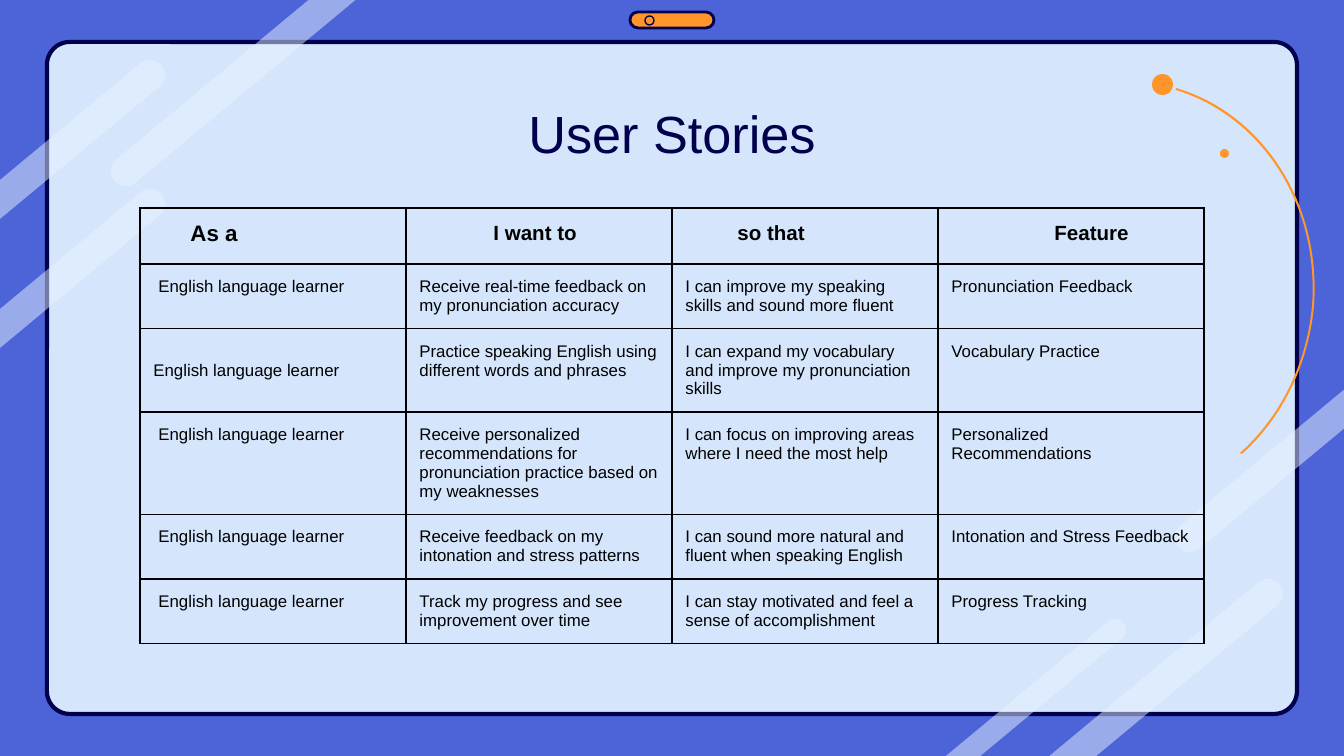
from math import cos, pi, radians, sin

from lxml.etree import SubElement
from pptx import Presentation
from pptx.dml.color import RGBColor
from pptx.enum.shapes import MSO_SHAPE
from pptx.enum.text import MSO_ANCHOR, MSO_AUTO_SIZE, PP_ALIGN
from pptx.oxml.ns import qn
from pptx.util import Inches, Pt

WIDTH, HEIGHT = 1344, 756
SCALE = 914400 * 10 / WIDTH
STRIPE_ANGLE = radians(39.7)

STRIPES = [
    (1268, 594, 15, -1),
    (1115, 630, 11, -1),
    (126, 171, 15, 1),
    (150, 75, 15, -1),
    (150, 204, 15, -1),
    (1190, 537, 15, 1),
]

LEARNER = "English language learner"
HEADERS = [("As a", 37, 12), ("I want to", 74, 11), ("so that", 52, 11), ("Feature", 103, 11)]
STORIES = [
    ("Receive real-time feedback on my pronunciation accuracy",
     "I can improve my speaking skills and sound more fluent",
     "Pronunciation Feedback"),
    ("Practice speaking English using different words and phrases",
     "I can expand my vocabulary and improve my pronunciation skills",
     "Vocabulary Practice"),
    ("Receive personalized\nrecommendations for pronunciation practice based on my weaknesses",
     "I can focus on improving areas where I need the most help",
     "Personalized Recommendations"),
    ("Receive feedback on my intonation and stress patterns",
     "I can sound more natural and fluent when speaking English",
     "Intonation and Stress Feedback"),
    ("Track my progress and see improvement over time",
     "I can stay motivated and feel a sense of accomplishment",
     "Progress Tracking"),
]


def px(value):
    return round(value * SCALE)


def color(value):
    return RGBColor.from_string(value)


def write(frame, text, size=9, bold=False, ink="000000", align=PP_ALIGN.LEFT, spacing=1.0):
    frame.word_wrap = True
    for index, line in enumerate(text.split("\n")):
        para = frame.add_paragraph() if index else frame.paragraphs[0]
        para.alignment = align
        para.line_spacing = spacing
        span = para.add_run()
        span.text = line
        span.font.name = "Arial"
        span.font.size = Pt(size)
        span.font.bold = bold
        span.font.color.rgb = color(ink)


def curve(start, first, second, end, steps=32):
    points = []
    for step in range(steps + 1):
        t = step / steps
        weights = ((1 - t) ** 3, 3 * t * (1 - t) ** 2, 3 * t * t * (1 - t), t ** 3)
        points.append(tuple(
            sum(weight * point[axis] for weight, point in zip(weights, (start, first, second, end)))
            for axis in (0, 1)
        ))
    return points


class SlideBuilder:
    back = "4C64D8"
    card = "D5E6FC"
    navy = "00004D"
    orange = "FF952B"
    shine = "E9F3FF"
    inset = Inches(0.1)

    def __init__(self, page):
        self.page = page
        page.background.fill.solid()
        page.background.fill.fore_color.rgb = color(self.back)

    def paint(self, shape, fill=None, line=None, weight=1.0, alpha=None):
        shape.shadow.inherit = False
        if fill:
            shape.fill.solid()
            shape.fill.fore_color.rgb = color(fill)
            if alpha is not None:
                tint = next(shape.element.spPr.iter(qn("a:srgbClr")))
                SubElement(tint, qn("a:alpha"), val=str(alpha * 1000))
        else:
            shape.fill.background()
        if line:
            shape.line.color.rgb = color(line)
            shape.line.width = Pt(weight)
        else:
            shape.line.fill.background()

    def shape(self, kind, left, top, width, height, corner=None, **style):
        box = self.page.shapes.add_shape(kind, px(left), px(top), px(width), px(height))
        if corner is not None:
            box.adjustments[0] = corner
        self.paint(box, **style)

    def outline(self, points, **style):
        corners = [(px(x), px(y)) for x, y in points]
        builder = self.page.shapes.build_freeform(*corners[0], scale=1.0)
        builder.add_line_segments(corners[1:], close=True)
        self.paint(builder.convert_to_shape(), **style)

    def stripe(self, x, y, radius, side):
        run, rise = side * cos(STRIPE_ANGLE), -side * sin(STRIPE_ANGLE)
        facing = STRIPE_ANGLE if side > 0 else STRIPE_ANGLE + pi
        edge_x, edge_y = (WIDTH, 0) if side > 0 else (0, HEIGHT)
        meets_side = (edge_x - x) / run < (edge_y - y) / rise
        cap = []
        for step in range(17):
            turn = facing + pi / 2 + pi * step / 16
            cap.append((x + radius * cos(turn), y - radius * sin(turn)))
        ends = []
        for left, top in (cap[-1], cap[0]):
            length = (edge_x - left) / run if meets_side else (edge_y - top) / rise
            ends.append((left + length * run, top + length * rise))
        self.outline(cap + ends, fill=self.shine, alpha=50)

    def orbit(self):
        inner = curve((1176, 90), (1261, 116), (1320, 204), (1312, 307))
        inner += curve((1312, 307), (1306, 367), (1279, 418), (1240, 453))
        outer = curve((1242, 454), (1281, 419), (1308, 367), (1314, 307))
        outer += curve((1314, 307), (1322, 203), (1262, 113), (1176, 88))
        self.outline(inner + outer, fill=self.orange)
        for left, top, size in ((1152, 74, 21), (1220, 149, 9)):
            self.shape(MSO_SHAPE.OVAL, left, top, size, size, fill=self.orange)

    def title(self, text, left, top, width, height):
        box = self.page.shapes.title
        box.element.getparent().append(box.element)
        box.left, box.top, box.width, box.height = map(px, (left, top, width, height))
        frame = box.text_frame
        frame.auto_size = MSO_AUTO_SIZE.NONE
        frame.vertical_anchor = MSO_ANCHOR.TOP
        frame.margin_left = frame.margin_right = self.inset
        frame.margin_top = frame.margin_bottom = self.inset
        write(frame, text, size=28, ink=self.navy, align=PP_ALIGN.CENTER, spacing=1.15)

    def cell(self, cell, text, indent=0, drop=0, **style):
        cell.margin_left = self.inset + px(indent)
        cell.margin_top = self.inset + px(drop)
        cell.margin_right = cell.margin_bottom = self.inset
        properties = cell._tc.get_or_add_tcPr()
        for side in ("lnL", "lnR", "lnT", "lnB"):
            border = SubElement(properties, qn(f"a:{side}"), w=str(Pt(0.75)))
            SubElement(SubElement(border, qn("a:solidFill")), qn("a:srgbClr"), val="000000")
        cell.fill.background()
        write(cell.text_frame, text, **style)

    def story_table(self, left, top, column, row):
        rows, columns = len(STORIES) + 1, len(HEADERS)
        table = self.page.shapes.add_table(
            rows, columns, px(left), px(top), px(column * columns), px(row * rows)).table
        table.first_row = table.horz_banding = False
        for index, (text, indent, size) in enumerate(HEADERS):
            self.cell(table.cell(0, index), text, indent, size=size, bold=True)
        for number, story in enumerate(STORIES, 1):
            indent, drop = (0, 19) if number == 2 else (5, 0)
            self.cell(table.cell(number, 0), LEARNER, indent, drop)
            for index, text in enumerate(story, 1):
                self.cell(table.cell(number, index), text)


def main():
    deck = Presentation()
    deck.slide_width, deck.slide_height = px(WIDTH), px(HEIGHT)
    slide = SlideBuilder(deck.slides.add_slide(deck.slide_layouts[5]))
    slide.shape(MSO_SHAPE.ROUNDED_RECTANGLE, 47, 42, 1250, 672, corner=0.034,
                fill=slide.card, line=slide.navy, weight=2.25)
    for stripe in STRIPES:
        slide.stripe(*stripe)
    slide.shape(MSO_SHAPE.ROUNDED_RECTANGLE, 630, 12, 84, 16, corner=0.5,
                fill=slide.orange, line=slide.navy, weight=1.5)
    slide.shape(MSO_SHAPE.OVAL, 645, 16, 9, 9, line=slide.navy, weight=0.75)
    slide.orbit()
    slide.title("User Stories", 106, 78, 1132, 85)
    slide.story_table(140, 208, 266, 56)
    deck.save("out.pptx")


if __name__ == "__main__":
    main()
